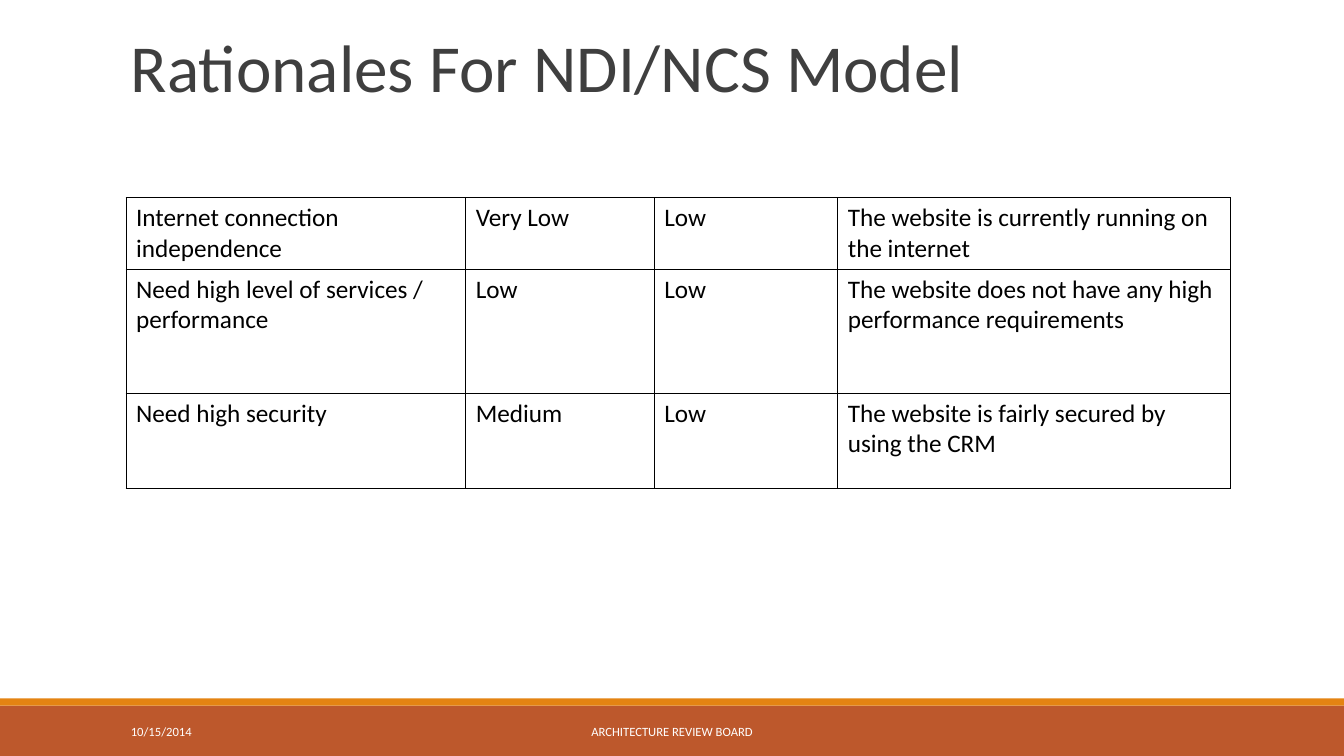
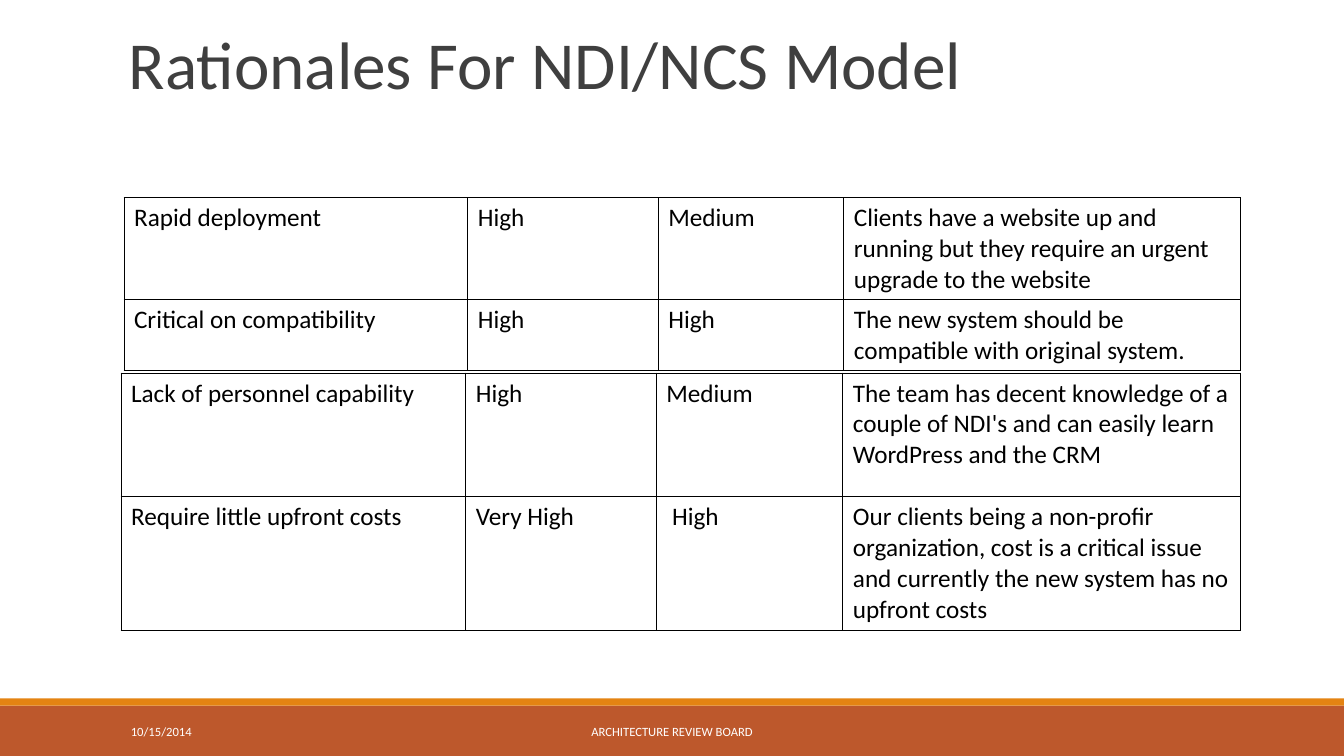
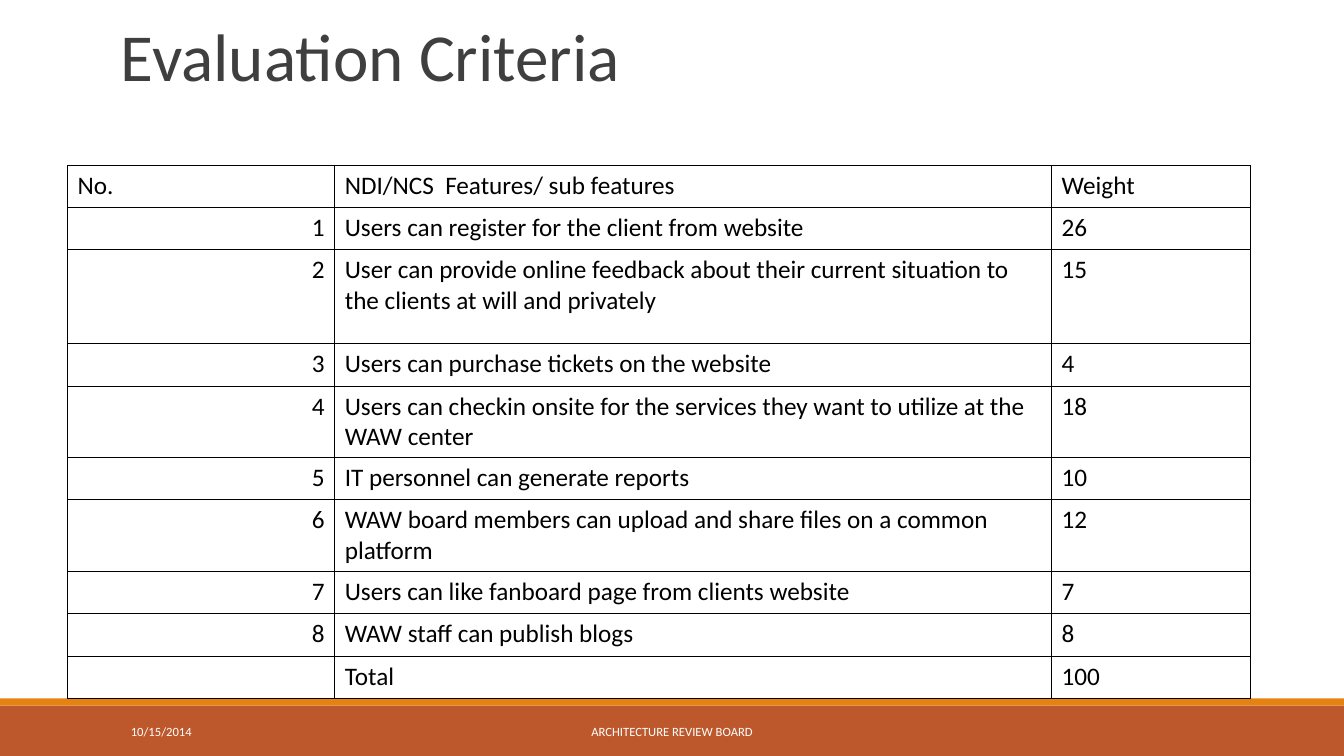
from lxml import etree
from pptx import Presentation
from pptx.dml.color import RGBColor
from pptx.enum.shapes import MSO_SHAPE
from pptx.enum.text import MSO_ANCHOR, PP_ALIGN
from pptx.oxml.ns import qn
from pptx.util import Inches, Pt

RECTANGLE = MSO_SHAPE.RECTANGLE
BOTTOM, MIDDLE = MSO_ANCHOR.BOTTOM, MSO_ANCHOR.MIDDLE
LEFT, CENTER = PP_ALIGN.LEFT, PP_ALIGN.CENTER
RIGHT, JUSTIFY = PP_ALIGN.RIGHT, PP_ALIGN.JUSTIFY

RUST = RGBColor(0xBD, 0x58, 0x2C)
ORANGE = RGBColor(0xE4, 0x83, 0x12)
CHARCOAL = RGBColor(0x3F, 0x3F, 0x3F)
BLACK = RGBColor(0, 0, 0)
WHITE = RGBColor(0xFF, 0xFF, 0xFF)

FONT_NAME = "Calibri"
TITLE_FORMAT = {"size": Pt(48), "color": CHARCOAL}
FOOTER_FORMAT = {"size": Pt(9), "color": WHITE}
CELL_FORMAT = {"size": Pt(18), "color": BLACK}

SLIDE_WIDTH, SLIDE_HEIGHT = 13.33, 7.5
BANDS = [(7, 0.5, RUST), (6.93, 0.07, ORANGE)]
FOOTERS = [
    (1.2, 2.7, "10/15/2014", LEFT),
    (4.03, 5.27, "ARCHITECTURE REVIEW BOARD", CENTER),
]
BORDER_SIDES = ("a:lnL", "a:lnR", "a:lnT", "a:lnB")
BORDER_WIDTH = Pt(0.75)
ONE_LINE, TWO_LINES, THREE_LINES, FOUR_LINES = 0.42, 0.71, 1.01, 1.32

SERVICE_ROWS = [
    ("Internet connection independence", "Very Low", "Low",
     "The website is currently running on the internet"),
    ("Need high level of services / performance", "Low", "Low",
     "The website does not have any high performance requirements"),
    ("Need high security", "Medium", "Low",
     "The website is fairly secured by using the CRM"),
]
DEPLOYMENT_ROWS = [
    ("Rapid deployment", "High", "Medium",
     "Clients have a website up and running but they require an urgent "
     "upgrade to the website"),
    ("Critical on compatibility", "High", "High",
     "The new system should be compatible with original system."),
]
RESOURCE_ROWS = [
    ("Lack of personnel capability", "High", "Medium",
     "The team has decent knowledge of a couple of NDI's and can easily "
     "learn WordPress and the CRM"),
    ("Require little upfront costs", "Very High", " High",
     "Our clients being a non-profir organization, cost is a critical issue "
     "and currently the new system has no upfront costs"),
]
FEATURES = [
    ("Users can register for the client from website", 26, ONE_LINE),
    ("User can provide online feedback about their current situation to the "
     "clients at will and privately", 15, 0.93),
    ("Users can purchase tickets on the website", 4, ONE_LINE),
    ("Users can checkin onsite for the services they want to utilize at the "
     "WAW center", 18, TWO_LINES),
    ("IT personnel can generate reports", 10, ONE_LINE),
    ("WAW board members can upload and share files on a common platform",
     12, TWO_LINES),
    ("Users can like fanboard page from clients website", 7, ONE_LINE),
    ("WAW staff can publish blogs", 8, ONE_LINE),
]


def write_text(text_frame, text, text_format, alignment=LEFT):
    paragraph = text_frame.paragraphs[0]
    paragraph.alignment = alignment
    font = paragraph.font
    if text:
        run = paragraph.add_run()
        run.text = text
        font = run.font
    font.name = FONT_NAME
    font.size = text_format["size"]
    font.color.rgb = text_format["color"]
    return paragraph


def add_text(slide, box, text, text_format, anchor, alignment=LEFT):
    text_frame = slide.shapes.add_textbox(*map(Inches, box)).text_frame
    text_frame.word_wrap = True
    text_frame.vertical_anchor = anchor
    return write_text(text_frame, text, text_format, alignment)


def add_band(slide, top, height, color):
    band = slide.shapes.add_shape(
        RECTANGLE, 0, Inches(top), Inches(SLIDE_WIDTH), Inches(height))
    band.shadow.inherit = False
    band.fill.solid()
    band.fill.fore_color.rgb = color
    band.line.fill.background()


def add_base_slide(presentation, title, title_box):
    slide = presentation.slides.add_slide(presentation.slide_layouts[6])
    for band in BANDS:
        add_band(slide, *band)
    add_text(slide, title_box, title, TITLE_FORMAT, BOTTOM).line_spacing = 0.85
    for left, width, text, alignment in FOOTERS:
        add_text(slide, (left, 7.06, width, 0.4), text, FOOTER_FORMAT,
                 MIDDLE, alignment)
    return slide


def set_borders(cell):
    properties = cell._tc.get_or_add_tcPr()
    for side in BORDER_SIDES:
        line = etree.SubElement(properties, qn(side), w=str(BORDER_WIDTH))
        fill = etree.SubElement(line, qn("a:solidFill"))
        etree.SubElement(fill, qn("a:srgbClr"), val=str(BLACK))


def add_grid(slide, left, top, widths, heights, rows, align=None):
    table = slide.shapes.add_table(
        len(rows), len(widths), Inches(left), Inches(top),
        Inches(sum(widths)), Inches(sum(heights))).table
    table.first_row = False
    table.horz_banding = False
    for column, width in zip(table.columns, widths):
        column.width = Inches(width)
    for row, height in zip(table.rows, heights):
        row.height = Inches(height)
    for row_index, texts in enumerate(rows):
        for column_index, text in enumerate(texts):
            cell = table.cell(row_index, column_index)
            set_borders(cell)
            cell.fill.background()
            alignment = align(row_index, column_index) if align else LEFT
            write_text(cell.text_frame, text, CELL_FORMAT, alignment)


def align_criteria(row_index, column_index):
    if row_index == 0:
        return JUSTIFY
    return (RIGHT, LEFT, JUSTIFY)[column_index]


def add_criteria_table(slide):
    rows = [("No.", "NDI/NCS  Features/ sub features", "Weight")]
    rows += [(str(number), feature, str(weight))
             for number, (feature, weight, _) in enumerate(FEATURES, 1)]
    rows.append(("", "Total", str(sum(weight for _, weight, _ in FEATURES))))
    heights = [ONE_LINE, *(height for _, _, height in FEATURES), ONE_LINE]
    add_grid(slide, 0.67, 1.64, (2.65, 7.11, 1.97), heights, rows,
             align_criteria)


def main():
    presentation = Presentation()
    presentation.slide_width = Inches(SLIDE_WIDTH)
    presentation.slide_height = Inches(SLIDE_HEIGHT)
    rationale_title = "Rationales For NDI/NCS Model"

    slide = add_base_slide(presentation, rationale_title, (1.2, 0, 11, 1.1))
    add_grid(slide, 1.25, 1.96, (3.37, 1.87, 1.82, 3.89),
             (TWO_LINES, 1.23, 0.95), SERVICE_ROWS)

    slide = add_base_slide(presentation, rationale_title, (1.18, 0, 11, 1.07))
    add_grid(slide, 1.23, 1.96, (3.41, 1.89, 1.84, 3.93),
             (THREE_LINES, TWO_LINES), DEPLOYMENT_ROWS)
    add_grid(slide, 1.2, 3.7, (3.42, 1.89, 1.85, 3.94),
             (1.23, FOUR_LINES), RESOURCE_ROWS)

    slide = add_base_slide(presentation, "Evaluation Criteria",
                           (1.1, -0.6, 11, 1.59))
    add_criteria_table(slide)

    presentation.save("out.pptx")


if __name__ == "__main__":
    main()
